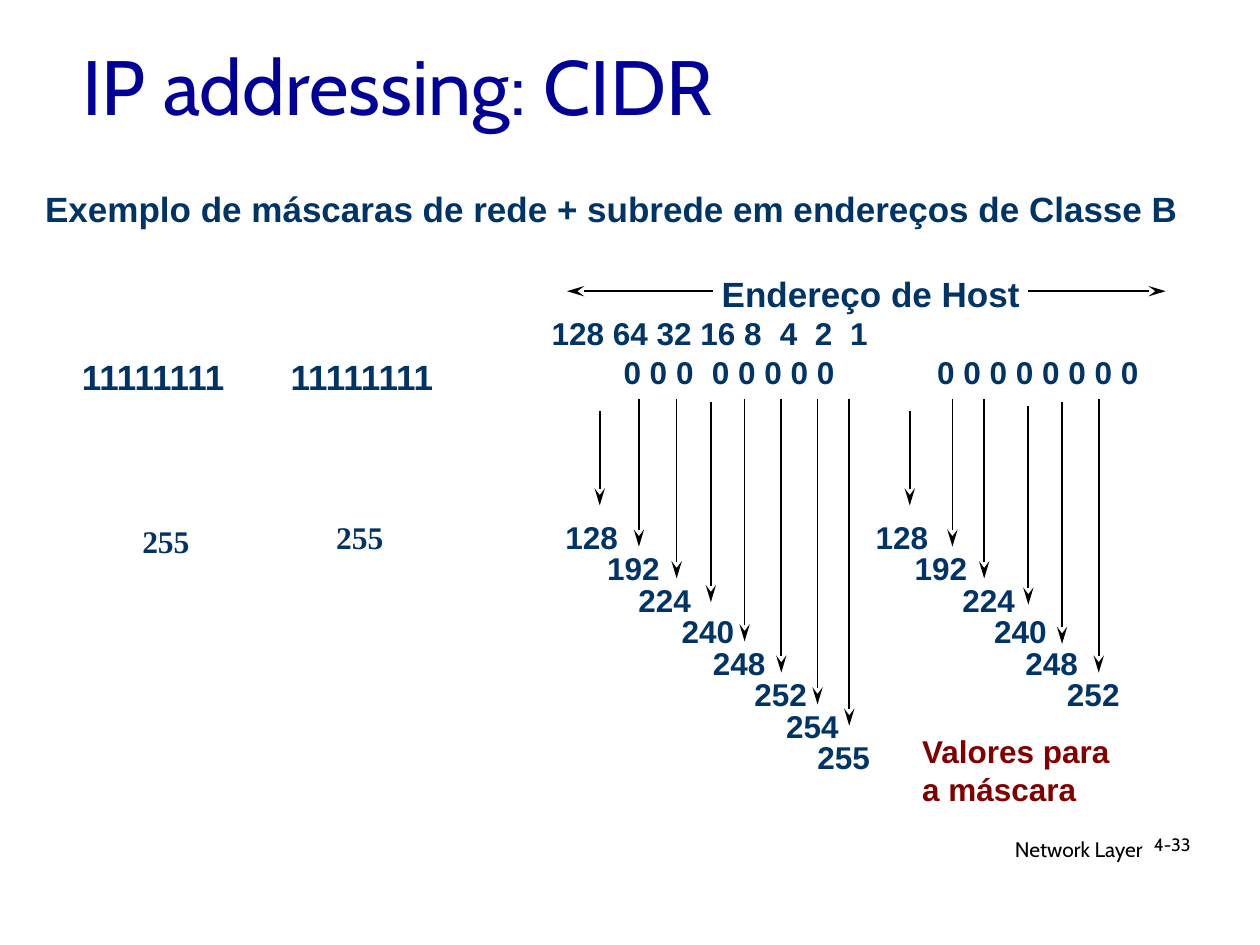
from lxml.etree import SubElement
from pptx import Presentation
from pptx.dml.color import RGBColor
from pptx.enum.shapes import MSO_CONNECTOR as Connector
from pptx.enum.text import MSO_ANCHOR as Anchor, PP_ALIGN as Align
from pptx.oxml.ns import qn
from pptx.util import Cm, Pt

NAVY, BLUE, MAROON, BLACK = "003366", "000099", "800000", "000000"
MASKS = ["128", "192", "224", "240", "248", "252", "254", "255"]
STEP = 0.635  # vertical drop between successive mask values

# One entry per bit: (value left, arrow x, arrow top, arrow bottom)
THIRD_OCTET = [
    (11.15, 12.09, 8.28, 10.19), (11.99, 12.88, 8.05, 11.02),
    (12.62, 13.64, 8.05, 11.66), (13.49, 14.33, 8.1, 12.14),
    (14.12, 15.01, 8.05, 12.93), (14.96, 15.75, 8.05, 13.56),
    (15.6, 16.48, 8.05, 14.2), (16.23, 17.12, 8.05, 14.63),
]
FOURTH_OCTET = [
    (17.4, 18.34, 8.28, 10.19), (18.19, 19.2, 8.05, 11.02),
    (19.15, 19.84, 8.05, 11.66), (19.79, 20.73, 8.18, 12.19),
    (20.42, 21.41, 8.1, 12.98), (21.26, 22.15, 8.05, 13.56),
]


def color(hex_code):
    return RGBColor.from_string(hex_code)


def format_text(frame, size, hex_code, font="Arial", bold=True, align=Align.LEFT):
    for paragraph in frame.paragraphs:
        paragraph.alignment = align
        for run in paragraph.runs:
            run.font.size = Pt(size)
            run.font.name = font
            run.font.bold = bold
            run.font.color.rgb = color(hex_code)


def add_label(shapes, text, left, top, width, height, size=18, hex_code=NAVY,
              wrap=False, **style):
    frame = shapes.add_textbox(Cm(left), Cm(top), Cm(width), Cm(height)).text_frame
    frame.word_wrap = wrap
    frame.text = text
    format_text(frame, size, hex_code, **style)
    return frame


def add_tab_stops(frame, stops):
    properties = frame.paragraphs[0]._p.get_or_add_pPr()
    tab_list = SubElement(properties, qn("a:tabLst"))
    for stop in stops:
        SubElement(tab_list, qn("a:tab"), pos=str(Cm(stop)), algn="l")


def add_arrow(shapes, x1, y1, x2, y2):
    arrow = shapes.add_connector(Connector.STRAIGHT, Cm(x1), Cm(y1), Cm(x2), Cm(y2))
    arrow.line.color.rgb = color(BLACK)
    arrow.line.width = Pt(1)
    SubElement(arrow.line._get_or_add_ln(), qn("a:tailEnd"),
               type="stealth", w="med", len="lg")
    SubElement(arrow._element.spPr, qn("a:effectLst"))


def add_mask_staircase(slide, octet):
    """Mask values stepping down, each with the arrow from its bit."""
    group = slide.shapes.add_group_shape()
    for row, (mask, (left, x, top, bottom)) in enumerate(zip(MASKS, octet)):
        add_label(group.shapes, mask, left, 10.31 + row * STEP, 1.57, 1.02)
        add_arrow(group.shapes, x, top, x, bottom)


def add_title(slide, text):
    title = slide.shapes.title
    title.left, title.top, title.width, title.height = Cm(1.4), Cm(0.53), Cm(21.59), Cm(2.36)
    title.text_frame.text = text
    title.text_frame.vertical_anchor = Anchor.MIDDLE
    format_text(title.text_frame, 44, BLUE, font="Cabin", bold=False)


def add_host_header(shapes):
    add_label(shapes, "Endereço de Host", 14.3, 5.36, 6.53, 1.09, size=20)
    add_arrow(shapes, 20.73, 5.87, 23.5, 5.87)
    add_arrow(shapes, 14.38, 5.87, 11.43, 5.87)
    weights = add_label(shapes, "128 64 32 16 8\t4\t2\t1", 10.87, 6.2, 7.04, 1.02, wrap=True)
    add_tab_stops(weights, [4.6, 5.31, 6.02])
    third_bits = add_label(shapes, "0 0 0\t0 0 0 0 0", 12.32, 6.99, 4.9, 1.02, wrap=True)
    add_tab_stops(third_bits, [1.78])
    add_label(shapes, "0 0 0 0 0 0 0 0", 18.64, 6.99, 4.57, 1.02)


def add_network_octets(shapes):
    for bits_left, value_left, value_top in [(1.4, 2.47, 10.39), (5.61, 6.38, 10.31)]:
        add_label(shapes, "11111111", bits_left, 7.04, 3.66, 1.09, size=20)
        add_label(shapes, "255", value_left, value_top, 1.75, 1.02,
                  font="Times New Roman", align=Align.CENTER)


def add_footer(shapes):
    add_label(shapes, "Network Layer", 15.24, 16.74, 8.05, 0.79, 12, BLACK, wrap=True,
              font="Cabin", bold=False, align=Align.RIGHT)
    number = add_label(shapes, "4-33", 23.01, 16.74, 1.88, 0.76, 10.2, BLACK, wrap=True,
                       font="Cabin", bold=False)
    number.paragraphs[0].line_spacing = 0.9


def main():
    deck = Presentation()
    deck.slide_width, deck.slide_height = Cm(25.4), Cm(19.05)
    slide = deck.slides.add_slide(deck.slide_layouts[5])
    add_title(slide, "IP addressing: CIDR")
    add_label(slide.shapes, "Exemplo de máscaras de rede + subrede em endereços de Classe B",
              0.66, 3.66, 23.37, 1.09, size=20)
    add_host_header(slide.shapes)
    add_network_octets(slide.shapes)
    for octet in (THIRD_OCTET, FOURTH_OCTET):
        add_mask_staircase(slide, octet)
    add_label(slide.shapes, "Valores para\na máscara", 18.34, 14.63, 4.32, 1.78,
              hex_code=MAROON)
    add_footer(slide.shapes)
    deck.save("out.pptx")


if __name__ == "__main__":
    main()
